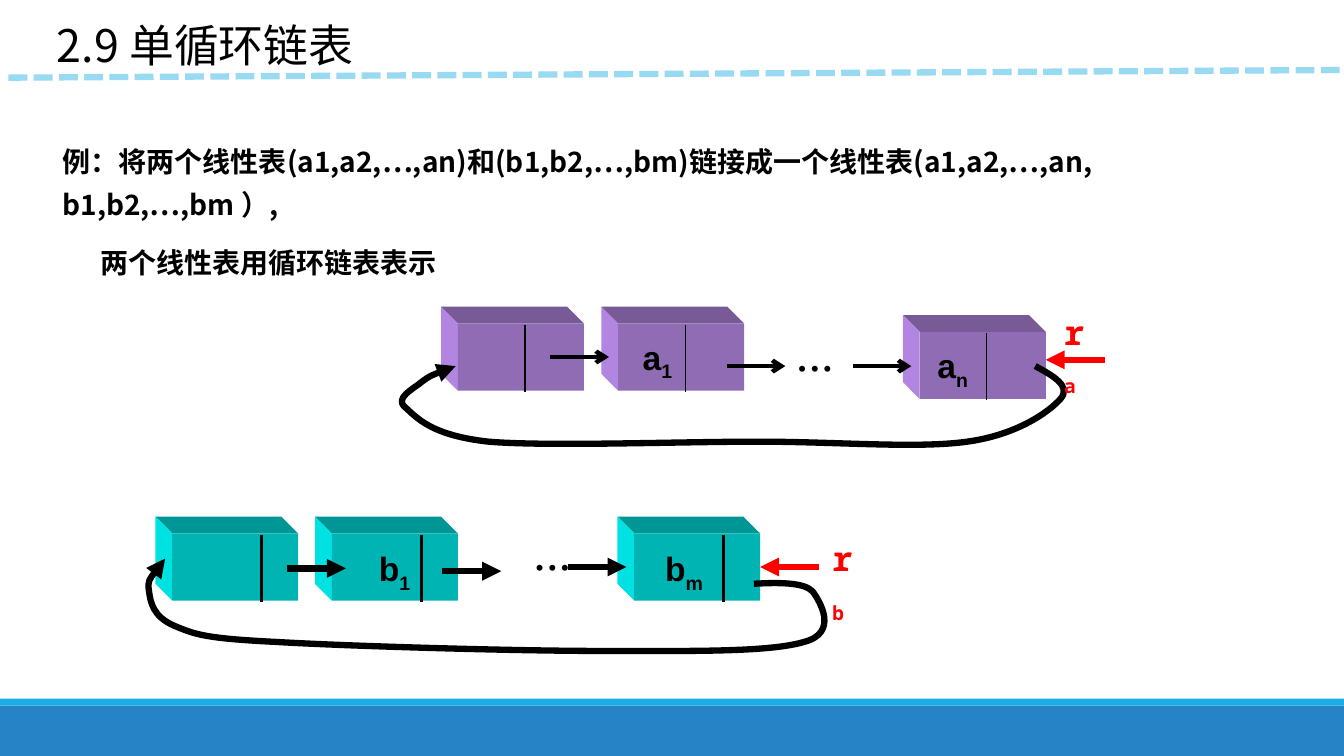
from pptx import Presentation
from pptx.dml.color import RGBColor
from pptx.enum.dml import MSO_LINE
from pptx.enum.shapes import MSO_CONNECTOR, MSO_SHAPE
from pptx.enum.text import MSO_ANCHOR, MSO_AUTO_SIZE, PP_ALIGN
from pptx.oxml.ns import qn
from pptx.oxml.xmlchemy import OxmlElement
from pptx.util import Pt

STRAIGHT = MSO_CONNECTOR.STRAIGHT
RECTANGLE = MSO_SHAPE.RECTANGLE
DASH = MSO_LINE.SQUARE_DOT
TOP, MIDDLE = MSO_ANCHOR.TOP, MSO_ANCHOR.MIDDLE
LEFT = PP_ALIGN.LEFT
NO_AUTOFIT = MSO_AUTO_SIZE.NONE

BLACK = RGBColor(0, 0, 0)
RED = RGBColor(0xFF, 0, 0)
BAND_BLUE = RGBColor(0x26, 0x83, 0xC6)
STRIPE_BLUE = RGBColor(0x1C, 0xAD, 0xE4)
RULE_BLUE = RGBColor(0x99, 0xDA, 0xF3)
# Front, left and top faces of the blocks
PURPLE = (RGBColor(0x90, 0x6C, 0xB4), RGBColor(0xB2, 0x86, 0xE0),
          RGBColor(0x78, 0x5A, 0x96))
TEAL = (RGBColor(0, 0xB4, 0xB4), RGBColor(0, 0xE2, 0xE2),
        RGBColor(0, 0x96, 0x96))

CHINESE_FONT = "Noto Sans CJK SC"
NODE_WIDTH, NODE_HEIGHT, DEPTH = 90, 48, 12
ARROW_LENGTH = 42

# Each loop is a start point followed by cubic segments of three points
LOOP_A = [(739.5, 261.5),
          (752.5, 268.5), (765.5, 276), (757.5, 285),
          (749.5, 294), (727, 310.5), (691, 315.5),
          (655, 320.5), (598.5, 315.5), (541.5, 315.5),
          (484.5, 315.5), (391, 319), (349, 315.5),
          (307.5, 311), (297.5, 298), (289.5, 291),
          (281.5, 284.5), (295, 278), (301, 273),
          (307.5, 268), (316, 265), (325.5, 261.5)]
LOOP_B = [(538.5, 417),
          (556.5, 416), (574.5, 416), (580.5, 422.5),
          (586, 430), (599, 452), (574.5, 458.5),
          (549.5, 466), (493, 465), (430.5, 465),
          (367, 465), (247, 461.5), (196.5, 458.5),
          (145.5, 456), (139, 453), (124.5, 447),
          (109.5, 440.5), (107.5, 430.5), (106.5, 422.5),
          (105, 414.5), (111.5, 407), (118, 399)]


def format_run(run, size, font_name, color=BLACK, bold=False):
    run.font.size = Pt(size)
    run.font.name = font_name
    run.font.color.rgb = color
    run.font.bold = bold
    east_asian = OxmlElement("a:ea")
    east_asian.set("typeface", font_name)
    run.font._element.find(qn("a:latin")).addnext(east_asian)


def fill_shape(shape, color):
    shape.shadow.inherit = False
    shape.fill.solid()
    shape.fill.fore_color.rgb = color
    shape.line.fill.background()


def add_rectangle(slide, left, top, width, height, color):
    shape = slide.shapes.add_shape(RECTANGLE, Pt(left), Pt(top), Pt(width), Pt(height))
    fill_shape(shape, color)
    return shape


def add_outline(slide, points, close):
    start, *others = [(Pt(x), Pt(y)) for x, y in points]
    builder = slide.shapes.build_freeform(*start)
    builder.add_line_segments(others, close=close)
    return builder.convert_to_shape()


def style_line(shape, color, width, head=None):
    shape.line.color.rgb = color
    shape.line.width = Pt(width)
    if head:
        tail_end = OxmlElement("a:tailEnd")
        tail_end.set("type", head)
        shape._element.spPr.find(qn("a:ln")).append(tail_end)


def add_line(slide, start, end, width, color=BLACK, head=None):
    connector = slide.shapes.add_connector(
        STRAIGHT, Pt(start[0]), Pt(start[1]), Pt(end[0]), Pt(end[1]))
    style_line(connector, color, width, head)
    connector._element.spPr.append(OxmlElement("a:effectLst"))
    return connector


def add_label(slide, text, left, top, size, font_name, color=BLACK, bold=True,
              width=38, subscript=""):
    box = slide.shapes.add_textbox(Pt(left), Pt(top), Pt(width), Pt(36))
    box.text_frame.word_wrap = False
    paragraph = box.text_frame.paragraphs[0]
    paragraph.text = text
    if subscript:
        paragraph.add_run().text = subscript
    for run in paragraph.runs:
        format_run(run, size, font_name, color, bold)
    if len(paragraph.runs) > 1:
        paragraph.runs[-1].font._element.set("baseline", "-25000")


def add_node(slide, left, top, faces, divider, divider_width):
    """Block with its upper and left sides showing, split by a divider."""
    front, side, lid = faces
    right, bottom = left + NODE_WIDTH, top + NODE_HEIGHT
    corner = (left - DEPTH, top - DEPTH)
    sides = [(lid, [corner, (right - DEPTH, top - DEPTH), (right, top), (left, top)]),
             (side, [corner, (left, top), (left, bottom), (left - DEPTH, bottom - DEPTH)])]
    for color, points in sides:
        fill_shape(add_outline(slide, points, True), color)
    node = add_rectangle(slide, left, top, NODE_WIDTH, NODE_HEIGHT, front)
    x = left + divider
    add_line(slide, (x, top + 1), (x, bottom + 1), divider_width)
    return node


def add_loop(slide, points):
    """Curved arrow from the last node back to the head node."""
    loop = add_outline(slide, points, False)
    loop.fill.background()
    loop.shadow.inherit = False
    style_line(loop, BLACK, 4.5, "triangle")
    segments = list(loop._element.iter(qn("a:lnTo")))
    for first in range(0, len(segments), 3):
        curve = OxmlElement("a:cubicBezTo")
        segments[first].addprevious(curve)
        for segment in segments[first:first + 3]:
            curve.append(segment[0])
            segment.getparent().remove(segment)


def add_links(slide, starts, width, head):
    for x, y in starts:
        add_line(slide, (x, y), (x + ARROW_LENGTH, y), width, head=head)


def place(placeholder, left, top, width, height, anchor):
    placeholder.left, placeholder.top = Pt(left), Pt(top)
    placeholder.width, placeholder.height = Pt(width), Pt(height)
    frame = placeholder.text_frame
    frame.word_wrap = True
    frame.auto_size = NO_AUTOFIT
    frame.vertical_anchor = anchor
    return frame


def add_title(slide):
    frame = place(slide.shapes.title, 33.5, 9, 540, 46, MIDDLE)
    frame.text = "2.9 单循环链表"
    frame.paragraphs[0].alignment = LEFT
    format_run(frame.paragraphs[0].runs[0], 32, CHINESE_FONT)


def add_example(slide):
    frame = place(slide.placeholders[1], 37.5, 92.5, 900, 112, TOP)
    frame.text = ("例：将两个线性表(a1,a2,…,an)和(b1,b2,…,bm)链接成一个线性表"
                  "(a1,a2,…,an, b1,b2,…,bm ）,\n两个线性表用循环链表表示")
    for paragraph, indent, space in zip(frame.paragraphs, (0, 27), (0, 10.5)):
        properties = paragraph._p.get_or_add_pPr()
        properties.set("marL", str(Pt(indent)))
        properties.set("indent", "0")
        properties.append(OxmlElement("a:buNone"))
        paragraph.alignment = LEFT
        paragraph.line_spacing = Pt(31)
        paragraph.space_before = Pt(space)
        format_run(paragraph.runs[0], 20, CHINESE_FONT, bold=True)


def main():
    presentation = Presentation()
    presentation.slide_width, presentation.slide_height = Pt(960), Pt(540)
    slide = presentation.slides.add_slide(presentation.slide_layouts[1])

    # Footer bands, heading and example
    add_rectangle(slide, 0, 504, 960, 36, BAND_BLUE)
    add_rectangle(slide, 0, 499, 960, 5, STRIPE_BLUE)
    add_title(slide)
    add_example(slide)
    rule = add_line(slide, (6, 55.5), (960, 50), 4.5, RULE_BLUE)
    rule.line.dash_style = DASH

    # List a
    for left, top in ((327, 231), (441.5, 231), (657, 237)):
        add_node(slide, left, top, PURPLE, 48, 0.75)
    add_label(slide, "a", 452, 237, 24, "Arial", subscript="1")
    add_label(slide, "a", 662.5, 243, 24, "Arial", subscript="n")
    add_links(slide, ((393, 255), (519, 261.5), (609, 261.5)), 3, "arrow")

    # List b
    for left in (123, 237, 453):
        last_node = add_node(slide, left, 381, TEAL, 64, 2.25)
    add_label(slide, "b", 263.5, 388, 24, "Arial", subscript="1")
    add_label(slide, "b", 468, 388, 24, "Arial", width=43, subscript="m")
    add_links(slide, ((205, 406), (316, 408), (405.5, 405)), 4.5, "triangle")

    # Gaps in both lists and loops back to the heads
    for left, top in ((561.5, 225.5), (374, 368)):
        add_label(slide, "...", left, top, 36, "Times New Roman", bold=False, width=42)
    add_loop(slide, LOOP_A)
    add_loop(slide, LOOP_B)

    # Rear pointers
    add_line(slide, (789, 257), (747, 257), 4.5, RED, "triangle")
    pointer = add_line(slide, (585, 405), (543, 405), 4.5, RED, "triangle")
    pointer.end_connect(last_node, 3)
    for text, left, top in (("r\va", 753, 219), ("r\vb", 587.5, 381)):
        add_label(slide, text, left, top, 24, "Noto Sans Mono", RED, width=29)

    presentation.save("out.pptx")


if __name__ == "__main__":
    main()
